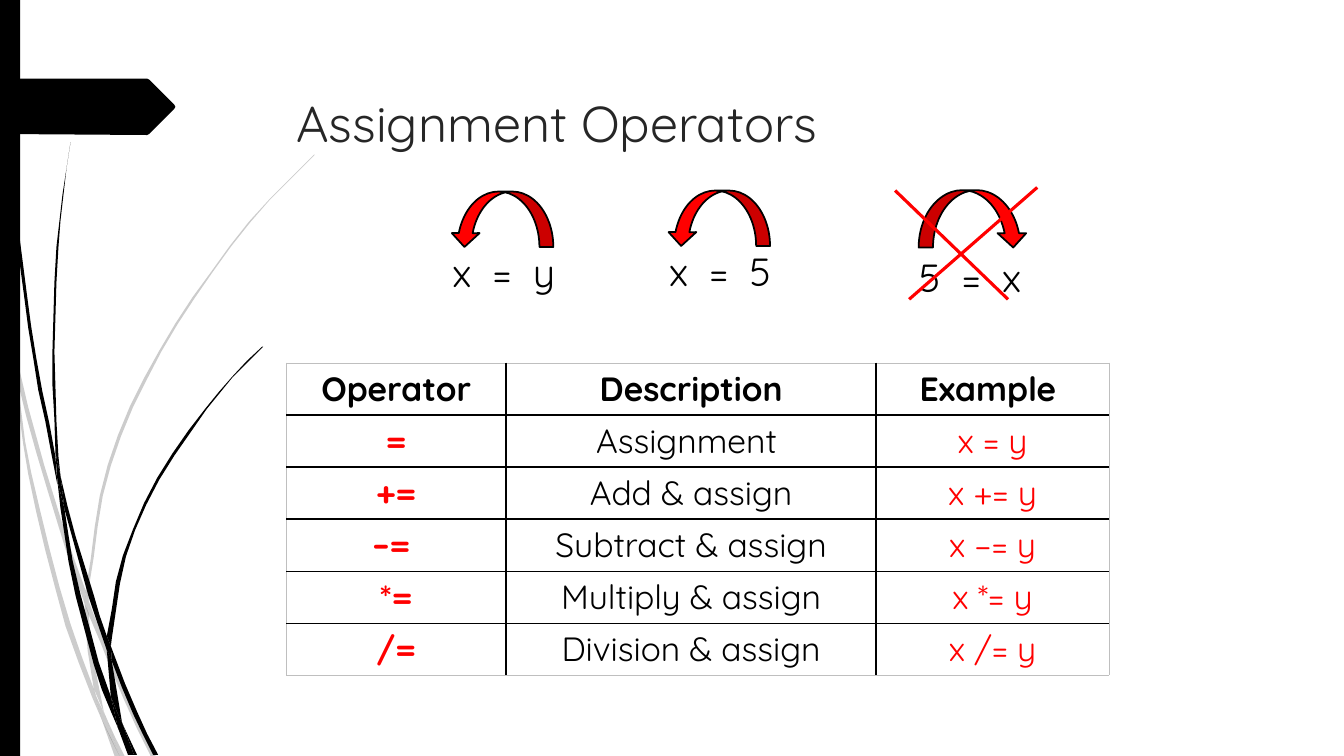
"""Build the slide on assignment operators."""
from math import dist
from typing import NamedTuple

from lxml.etree import SubElement
from pptx import Presentation
from pptx.dml.color import RGBColor
from pptx.enum.shapes import MSO_CONNECTOR, MSO_SHAPE
from pptx.enum.text import MSO_ANCHOR, PP_ALIGN
from pptx.oxml.ns import qn
from pptx.util import Pt

FONT, BLACK, RED, GREY = "Quicksand", "000000", "FF0000", "BFBFBF"
UNIT = Pt(0.72)
Points = list[tuple[int, int]]


class Wisp(NamedTuple):
    near: Points
    far: Points


class Sum(NamedTuple):
    text: str
    left: float
    top: float
    arrow: MSO_SHAPE
    box: tuple[float, float, float, float]
    turn: int


class Stroke(NamedTuple):
    start: tuple[float, float]
    end: tuple[float, float]


class Row(NamedTuple):
    sign: str
    sense: str
    sample: str


PALE = [
    Wisp([(0, 282), (9, 322), (11, 350)], [(0, 299), (10, 344), (11, 350)]),
    Wisp([(17, 376), (36, 449), (58, 522), (84, 599)],
         [(14, 345), (36, 433), (62, 520), (85, 586)]),
    Wisp([(88, 610), (123, 694), (150, 751)],
         [(88, 596), (92, 607), (127, 692), (155, 751)]),
    Wisp([(105, 711), (119, 751)], [(105, 711), (124, 751)]),
    Wisp([(11, 350), (28, 470), (65, 621), (92, 693), (101, 714)],
         [(17, 376), (31, 469), (70, 619), (93, 683), (101, 714)]),
    Wisp([(84, 599), (87, 646), (93, 683), (105, 711)],
         [(88, 608), (91, 646), (103, 706), (105, 711)]),
    Wisp([(85, 586), (107, 461), (158, 348), (228, 244), (268, 197), (312, 153)],
         [(88, 596), (88, 584), (110, 462), (160, 349), (229, 245), (268, 198), (312, 154)]),
    Wisp([(101, 714), (114, 751)], [(101, 714), (119, 751)]),
    Wisp([(85, 586), (84, 599)], [(88, 596), (88, 610)]),
    Wisp([(93, 683), (101, 714), (119, 751)], [(96, 692), (105, 711), (119, 751)]),
]
DARK = [
    Wisp([(3, 0), (7, 110), (17, 233), (33, 355), (57, 481)],
         [(4, 0), (8, 109), (19, 232), (36, 355), (55, 453), (57, 481)]),
    Wisp([(64, 505), (88, 592), (106, 645)],
         [(60, 472), (75, 532), (93, 590), (106, 631)]),
    Wisp([(111, 656), (132, 708), (152, 749)],
         [(110, 641), (113, 649), (136, 706), (157, 749)]),
    Wisp([(57, 477), (68, 557), (93, 659), (111, 708), (117, 722)],
         [(64, 505), (72, 556), (98, 657), (110, 691), (117, 722)]),
    Wisp([(55, 449), (52, 349), (56, 245), (62, 193), (70, 141)],
         [(60, 472), (58, 453), (54, 349), (58, 245), (63, 193), (70, 141)]),
    Wisp([(122, 719), (133, 749)], [(122, 719), (136, 749)]),
    Wisp([(55, 449), (57, 477)], [(60, 472), (64, 505)]),
    Wisp([(106, 631), (122, 551), (156, 474), (204, 405), (231, 373), (260, 344)],
         [(110, 641), (111, 633), (125, 552), (158, 476), (205, 406), (231, 374), (261, 344)]),
    Wisp([(117, 722), (127, 749)], [(117, 722), (131, 749)]),
    Wisp([(106, 645), (110, 691), (116, 706), (122, 719)],
         [(109, 651), (111, 656), (121, 716), (122, 719)]),
    Wisp([(106, 631), (106, 645)], [(110, 641), (111, 656)]),
    Wisp([(110, 691), (117, 722), (130, 749)], [(116, 706), (122, 719), (133, 749)]),
]
BANNER = [(0, 78), (146, 78), (148, 79), (173, 104), (174, 106), (173, 108),
          (148, 133), (146, 134), (0, 133)]
SUMS = [
    Sum("x  =  y", 316.1, 173.5, MSO_SHAPE.CURVED_UP_ARROW, (321.8, 136.8, 73.4, 39.6), 180),
    Sum("x  =  5", 470.9, 172.8, MSO_SHAPE.CURVED_UP_ARROW, (476.6, 136.1, 73.4, 39.6), 180),
    Sum("5  =  x", 649.4, 177.1, MSO_SHAPE.CURVED_LEFT_ARROW, (674.6, 117.4, 41, 77.8), 270),
]
CROSS = [Stroke((639.4, 136.1), (720, 213.8)), Stroke((740.9, 133.9), (649.4, 213.8))]
ROWS = [
    Row("Operator", "Description", "Example "),
    Row("=", "Assignment ", "x = y"),
    Row("+=", "Add & assign", "x += y"),
    Row("–= ", "Subtract & assign", "x –= y"),
    Row("*=", "Multiply & assign", "x *= y"),
    Row("/=", "Division & assign", "x /= y"),
]
WIDTHS, HEIGHT = (157, 264.3, 166.5), 37.2


def hue(code: str) -> RGBColor:
    return RGBColor.from_string(code)


def write(frame, text: str, *, size: float, color: str = BLACK, bold: bool = False,
          align: PP_ALIGN = PP_ALIGN.LEFT) -> None:
    frame.word_wrap = True
    line = frame.paragraphs[0]
    line.alignment = align
    run = line.add_run()
    run.text = text
    run.font.name, run.font.size, run.font.bold = FONT, Pt(size), bold
    run.font.color.rgb = hue(color)


def paint(shape, color: str, edge: float = 0, alpha: int = 100) -> None:
    shape.shadow.inherit = False
    shape.fill.solid()
    shape.fill.fore_color.rgb = hue(color)
    if alpha < 100:
        tint = shape.element.spPr.find(qn("a:solidFill"))[0]
        SubElement(tint, qn("a:alpha"), val=str(alpha * 1000))
    if edge:
        shape.line.color.rgb = hue(BLACK)
        shape.line.width = Pt(edge)
    else:
        shape.line.fill.background()


def curve(rail: Points) -> list[tuple[float, float]]:
    def slope(i: int) -> list[float]:
        a, b, c = rail[max(i - 1, 0)], rail[i], rail[min(i + 1, len(rail) - 1)]
        span = dist(a, b) + dist(b, c)
        return [(c[k] - a[k]) / span for k in (0, 1)]

    out = [rail[0]]
    for i, (p, q) in enumerate(zip(rail, rail[1:])):
        m, n, span = slope(i), slope(i + 1), dist(p, q)
        steps = 1 + int(span // 40)
        for step in range(1, steps + 1):
            t = step / steps
            u = 1 - t
            out.append(tuple(
                u * u * (1 + 2 * t) * p[k] + t * t * (3 - 2 * t) * q[k]
                + span * t * u * (u * m[k] - t * n[k]) for k in (0, 1)))
    return out


def trace(shapes, dots, alpha: int = 100) -> None:
    pen = shapes.build_freeform(*dots[0], scale=UNIT)
    pen.add_line_segments(dots[1:], close=True)
    paint(pen.convert_to_shape(), BLACK, alpha=alpha)


def rule(cell, side: str, outer: bool) -> None:
    width = Pt(0.25 if outer else 1)
    line = SubElement(cell._tc.get_or_add_tcPr(), qn(f"a:{side}"), w=str(width))
    fill = SubElement(line, qn("a:solidFill"))
    SubElement(fill, qn("a:srgbClr"), val=GREY if outer else BLACK)


def grid(shapes) -> None:
    table = shapes.add_table(len(ROWS), len(WIDTHS), Pt(204.5), Pt(259.2),
                             Pt(sum(WIDTHS)), Pt(HEIGHT * len(ROWS))).table
    table.first_row = table.horz_banding = False
    for col, width in zip(table.columns, WIDTHS):
        col.width = Pt(width)
    for r, row in enumerate(ROWS):
        table.rows[r].height = Pt(HEIGHT)
        for c, text in enumerate(row):
            cell = table.cell(r, c)
            cell.vertical_anchor = MSO_ANCHOR.TOP if c == 2 else MSO_ANCHOR.MIDDLE
            write(cell.text_frame, text, size=24, color=RED if r and c != 1 else BLACK,
                  bold=r == 0 or c == 0, align=PP_ALIGN.CENTER)
            rule(cell, "lnL", c == 0)
            rule(cell, "lnR", c == len(WIDTHS) - 1)
            rule(cell, "lnT", r == 0)
            rule(cell, "lnB", r == len(ROWS) - 1)
            cell.fill.background()


def label(shapes, text: str, box: tuple[float, ...], **style) -> None:
    write(shapes.add_textbox(*map(Pt, box)).text_frame, text, **style)


def main() -> None:
    deck = Presentation()
    deck.slide_width, deck.slide_height = Pt(960), Pt(540)
    shapes = deck.slides.add_slide(deck.slide_layouts[6]).shapes
    for group, alpha in ((PALE, 20), (DARK, 100)):
        for wisp in group:
            trace(shapes, curve(wisp.near) + curve(wisp.far)[::-1], alpha)
    paint(shapes.add_shape(MSO_SHAPE.RECTANGLE, 0, 0, Pt(14.4), Pt(540)), BLACK)
    trace(shapes, BANNER)
    label(shapes, "Assignment Operators", (204.5, 62.6, 702, 100.8), size=36, color="262626")
    grid(shapes)
    for item in SUMS:
        label(shapes, item.text, (item.left, item.top, 264.2, 41), size=28)
        arrow = shapes.add_shape(item.arrow, *map(Pt, item.box))
        arrow.rotation = item.turn
        paint(arrow, RED, edge=1.25)
    for start, end in CROSS:
        line = shapes.add_connector(MSO_CONNECTOR.STRAIGHT, *map(Pt, start + end))
        line.line.color.rgb = hue(RED)
        line.line.width = Pt(2.25)
        SubElement(line.element.spPr, qn("a:effectLst"))
    deck.save("out.pptx")


if __name__ == "__main__":
    main()
